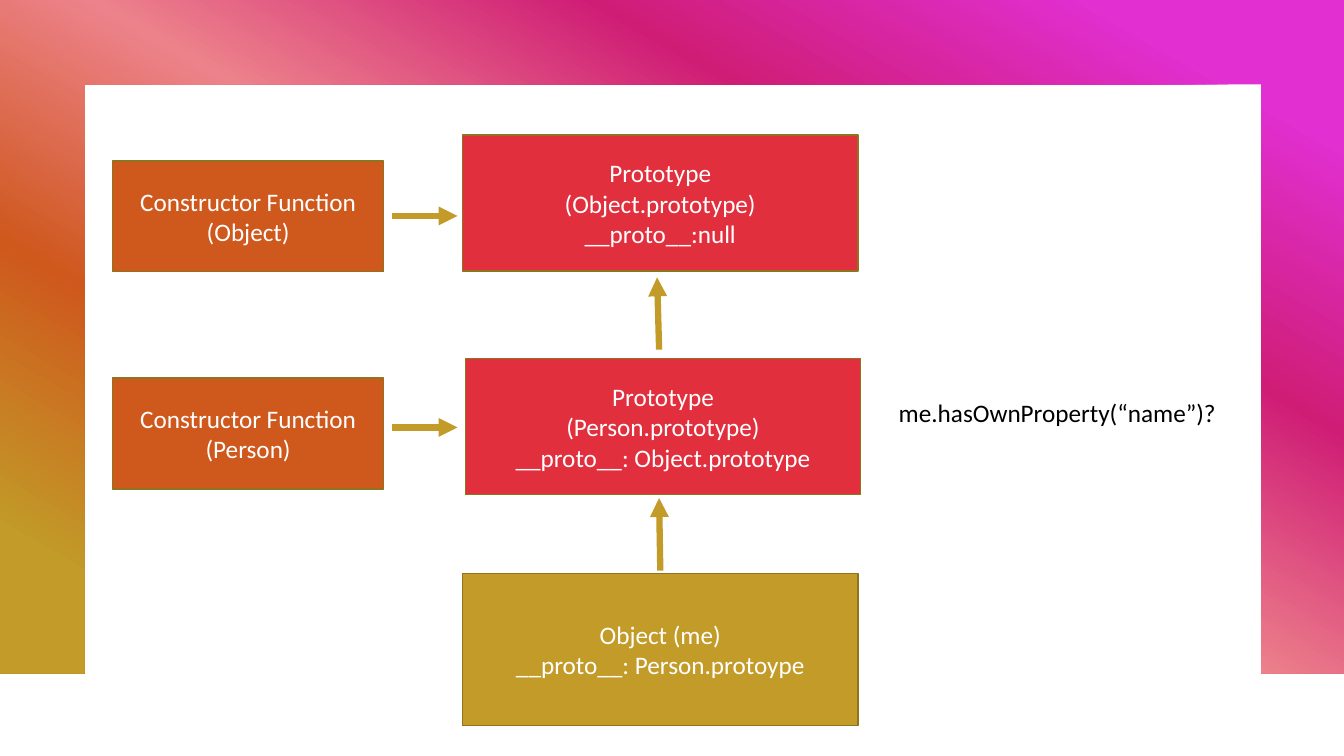
from lxml.etree import SubElement
from pptx import Presentation
from pptx.dml.color import RGBColor
from pptx.enum.shapes import MSO_CONNECTOR, MSO_SHAPE
from pptx.enum.text import MSO_ANCHOR, MSO_AUTO_SIZE, PP_ALIGN
from pptx.oxml.ns import qn
from pptx.util import Cm, Pt

WHITE = RGBColor(0xFF, 0xFF, 0xFF)
BLACK = RGBColor(0x00, 0x00, 0x00)
RED = RGBColor(0xE1, 0x2F, 0x3E)
ORANGE = RGBColor(0xCF, 0x58, 0x1D)
GOLD = RGBColor(0xC2, 0x9B, 0x28)
BROWN = RGBColor(0x90, 0x73, 0x1E)
MAGENTA = RGBColor(0xE1, 0x2F, 0xD2)
CRIMSON = RGBColor(0xCF, 0x1D, 0x76)
PINK = RGBColor(0xED, 0x82, 0x8B)


def write(shape, text, color, align):
    frame = shape.text_frame
    frame.word_wrap = True
    frame.text = text
    for para in frame.paragraphs:
        para.alignment = align
        font = para.runs[0].font
        for name, value in {"name": "Calibri", "size": Pt(18)}.items():
            setattr(font, name, value)
        font.color.rgb = color


deck = Presentation()
deck.slide_width, deck.slide_height = Cm(33.87), Cm(19.05)
slide = deck.slides.add_slide(deck.slide_layouts[6])
shapes = slide.shapes

# Gradient frame, open at the bottom
wide, high, left, right, top = 33.87, 16.97, 2.13, 31.78, 2.13
corners = [(wide, 0), (wide, high), (right, high), (right, top),
           (left, top), (left, high), (0, high)]
outline = shapes.build_freeform(0, 0)
outline.add_line_segments([(Cm(x), Cm(y)) for x, y in corners], close=True)
border = outline.convert_to_shape()
border.shadow.inherit = False
border.line.fill.background()
border.fill.gradient()
border.fill.gradient_angle = 240
stops = border.fill._xPr.find(".//" + qn("a:gsLst"))
for stop in list(stops):
    stops.remove(stop)
for step, color in enumerate([MAGENTA, CRIMSON, PINK, ORANGE, GOLD]):
    stop = SubElement(stops, qn("a:gs"), pos=str(10000 + 20000 * step))
    SubElement(stop, qn("a:srgbClr"), val=str(color))

# Boxes of the prototype chain
boxes = [
    (11.73, 9.04, 9.96, 3.43, RED,
     "Prototype\n(Person.prototype)\n__proto__: Object.prototype"),
    (11.66, 14.45, 9.96, 3.84, GOLD,
     "Object (me)\n__proto__: Person.protoype"),
    (2.84, 9.53, 6.83, 2.79, ORANGE, "Constructor Function\n(Person)"),
    (11.66, 3.4, 9.96, 3.43, RED,
     "Prototype\n(Object.prototype)\n__proto__:null"),
    (2.84, 4.06, 6.83, 2.79, ORANGE, "Constructor Function\n(Object)"),
]
for x, y, w, h, color, text in boxes:
    box = shapes.add_shape(MSO_SHAPE.RECTANGLE, Cm(x), Cm(y), Cm(w), Cm(h))
    box.shadow.inherit = False
    box.fill.solid()
    box.fill.fore_color.rgb = color
    box.line.color.rgb = BROWN
    box.line.width = Pt(1)
    box.text_frame.vertical_anchor = MSO_ANCHOR.MIDDLE
    write(box, text, WHITE, PP_ALIGN.CENTER)

# Arrows between the boxes
arrows = [
    (16.64, 14.38, 16.61, 12.55),
    (9.88, 10.77, 11.53, 10.77),
    (16.61, 8.81, 16.56, 6.99),
    (9.88, 5.44, 11.53, 5.44),
]
for ends in arrows:
    arrow = shapes.add_connector(MSO_CONNECTOR.STRAIGHT, *map(Cm, ends))
    arrow.line.color.rgb = GOLD
    arrow.line.width = Pt(4.5)
    SubElement(arrow.line._get_or_add_ln(), qn("a:tailEnd"), type="triangle")
    SubElement(arrow._element.spPr, qn("a:effectLst"))

query = shapes.add_textbox(Cm(22.4), Cm(9.88), Cm(11.05), Cm(1.02))
write(query, "me.hasOwnProperty(“name”)?", BLACK, PP_ALIGN.LEFT)
query.text_frame.auto_size = MSO_AUTO_SIZE.SHAPE_TO_FIT_TEXT

deck.save("out.pptx")
